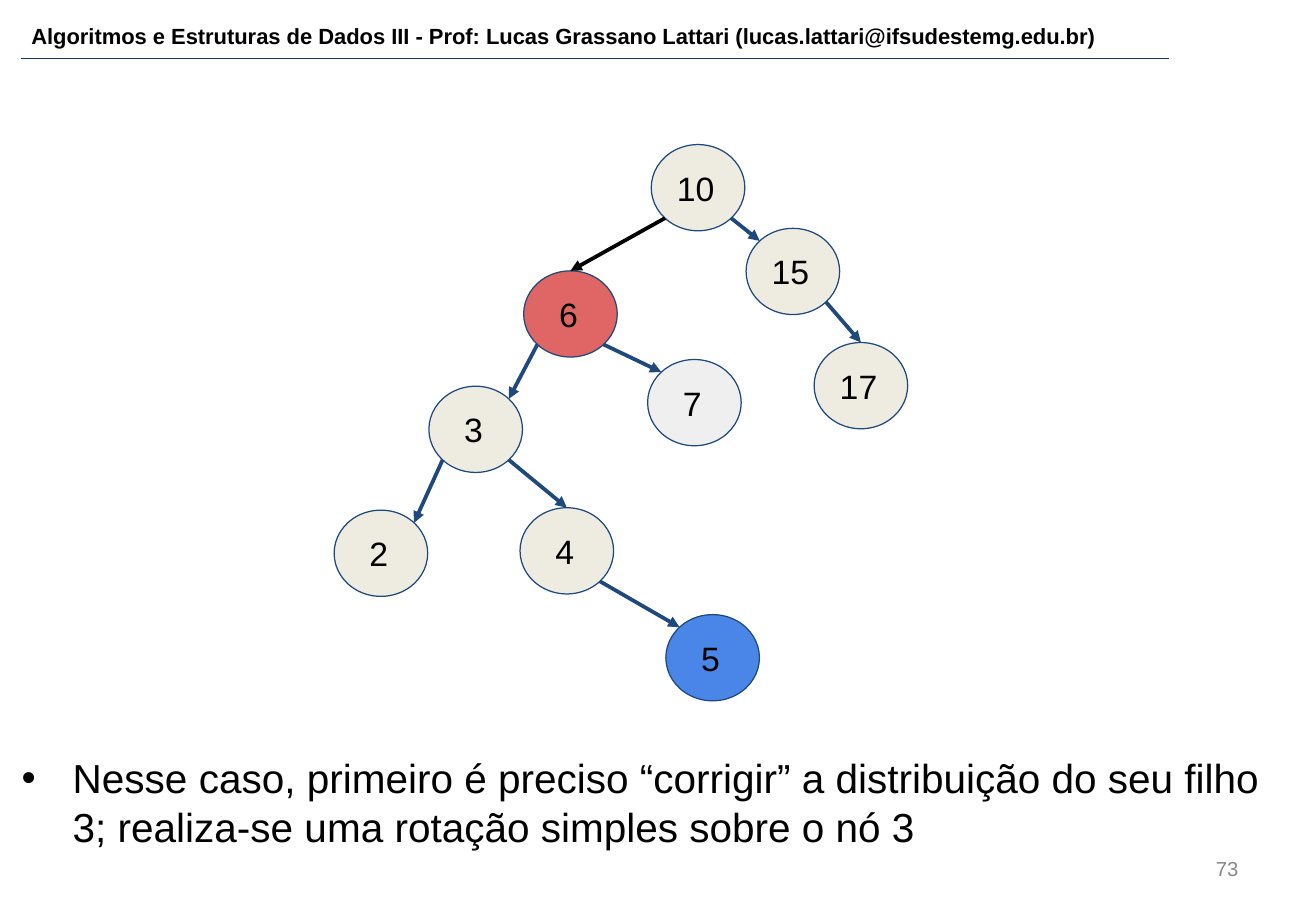
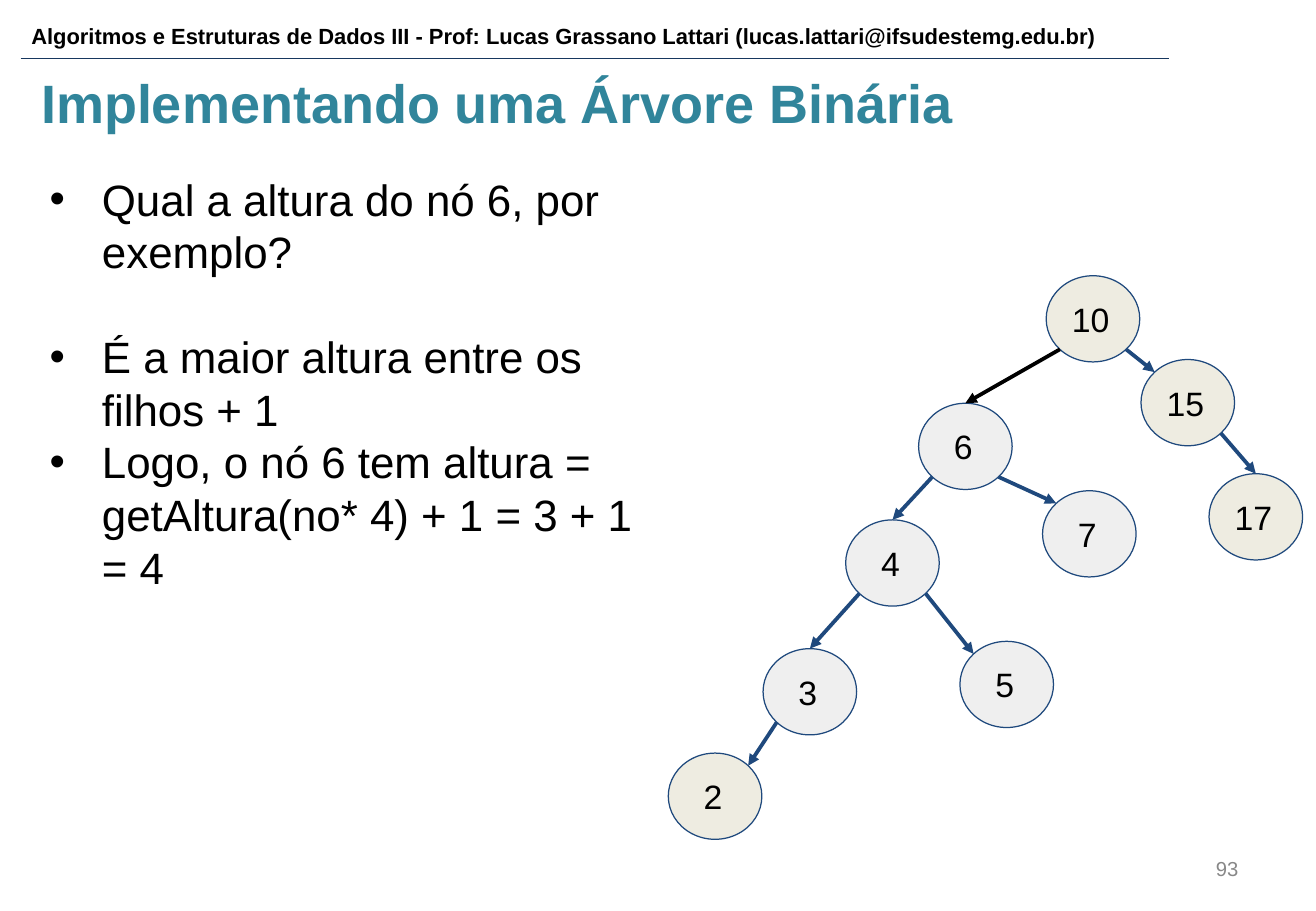
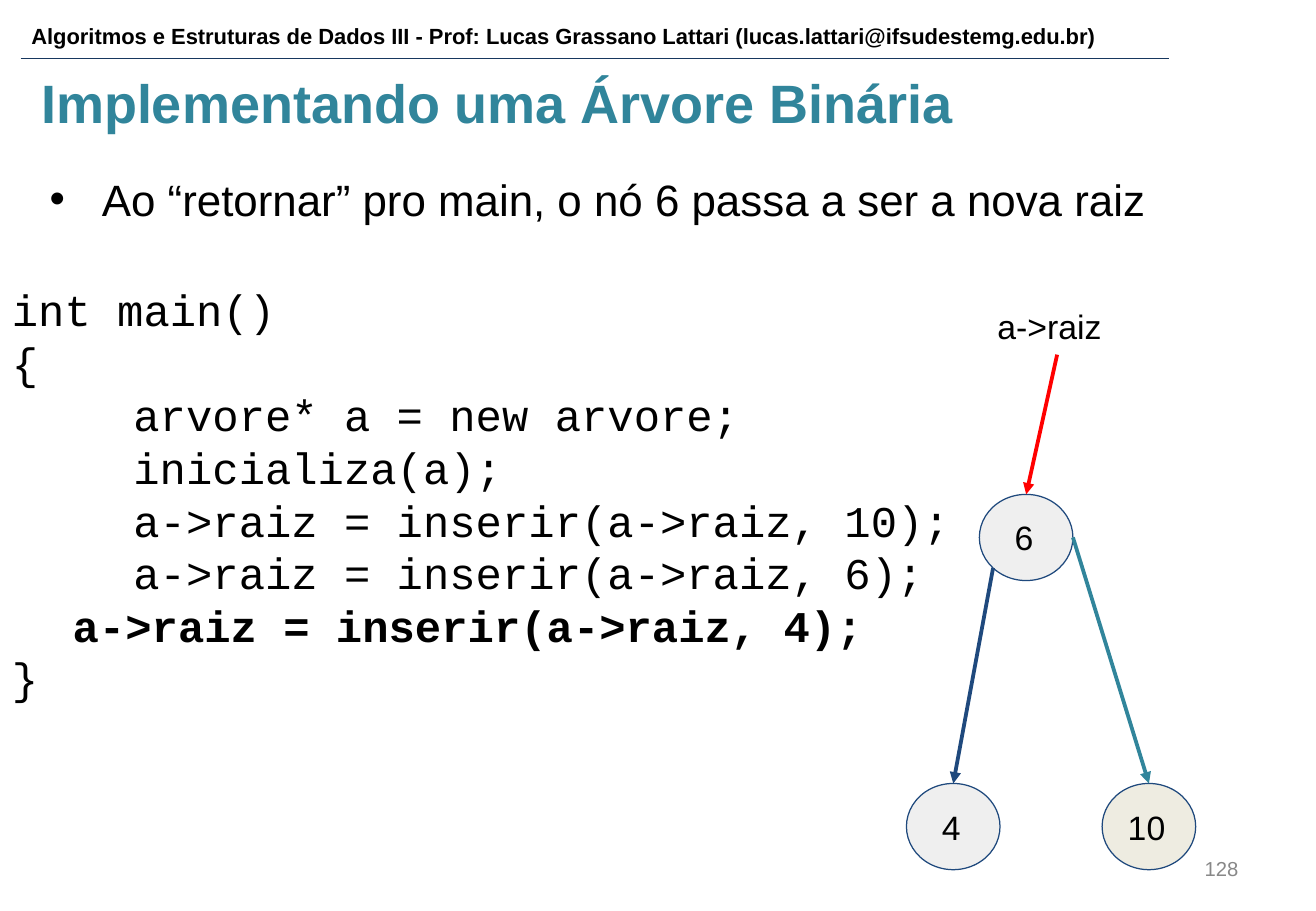
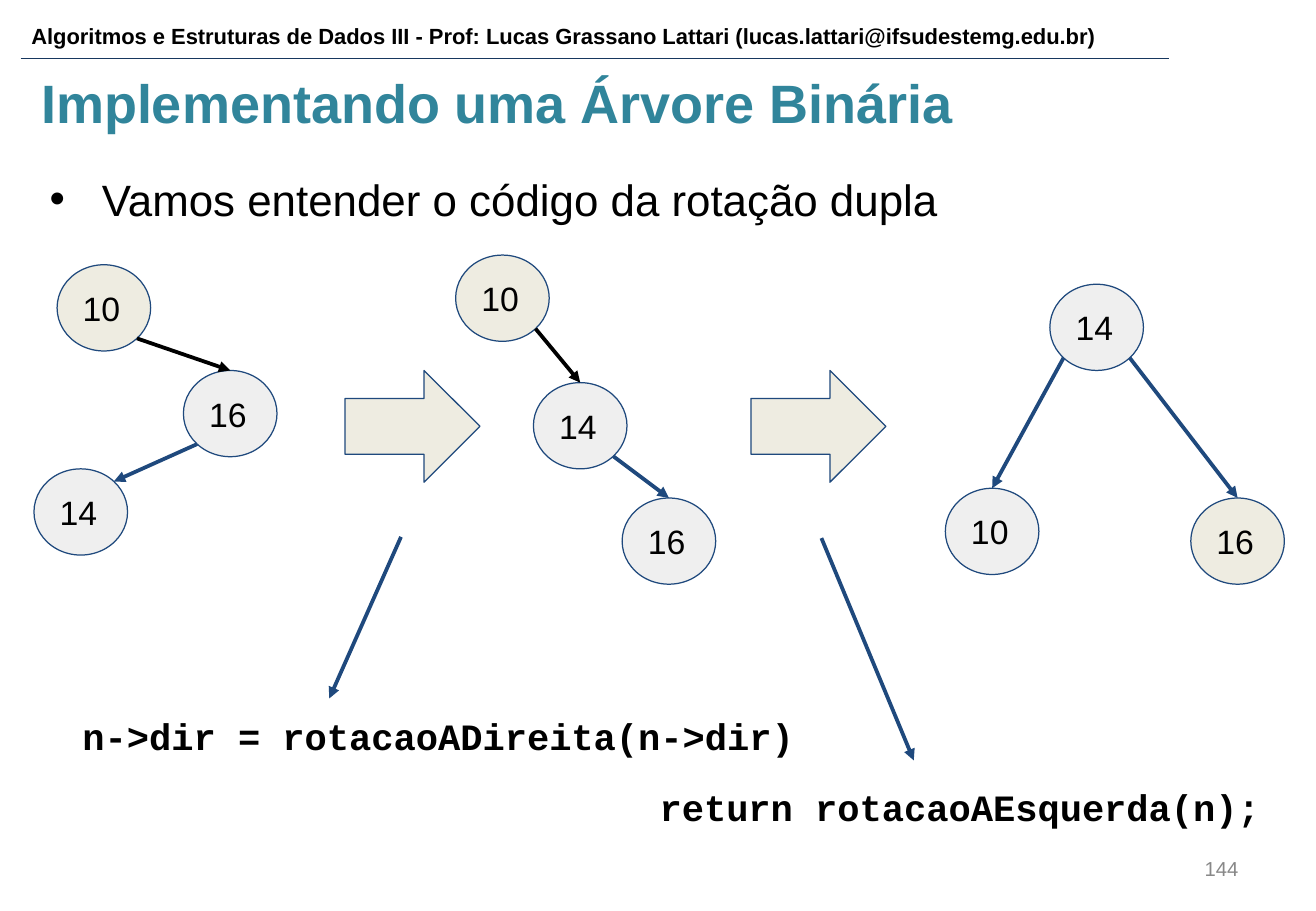
from math import sqrt

from lxml import etree
from pptx import Presentation
from pptx.dml.color import RGBColor
from pptx.enum.shapes import MSO_CONNECTOR, MSO_SHAPE
from pptx.enum.text import MSO_ANCHOR, PP_ALIGN
from pptx.oxml.ns import qn
from pptx.util import Inches, Pt

STRAIGHT = MSO_CONNECTOR.STRAIGHT
ELLIPSE, RIGHT_ARROW = MSO_SHAPE.OVAL, MSO_SHAPE.RIGHT_ARROW
TOP, MIDDLE = MSO_ANCHOR.TOP, MSO_ANCHOR.MIDDLE
LEFT, RIGHT = PP_ALIGN.LEFT, PP_ALIGN.RIGHT

BLACK = RGBColor(0x00, 0x00, 0x00)
GRAY = RGBColor(0x88, 0x88, 0x88)
NAVY = RGBColor(0x1F, 0x49, 0x7D)
RULE = RGBColor(0x17, 0x37, 0x5E)
TEAL = RGBColor(0x31, 0x85, 0x9B)
CREAM = RGBColor(0xEE, 0xEC, 0xE1)
SILVER = RGBColor(0xEF, 0xEF, 0xEF)
CORAL = RGBColor(0xE0, 0x66, 0x66)
BLUE = RGBColor(0x4A, 0x86, 0xE8)
RED = RGBColor(0xFF, 0x00, 0x00)

SANS, MONO = "Arial", "Courier New"
HEADER = ("Algoritmos e Estruturas de Dados III - Prof: Lucas Grassano Lattari "
          "(lucas.lattari@ifsudestemg.edu.br)")
TITLE = "Implementando uma Árvore Binária"

# Tree nodes: size, and the points where edges meet the ellipse
NODE_WIDTH, NODE_HEIGHT = 0.77, 0.71
DIGIT_INDENT = 0.08
DIAGONAL = sqrt(0.5)
SITES = {
    "top": (0, -1), "right": (1, 0),
    "top left": (-DIAGONAL, -DIAGONAL), "top right": (DIAGONAL, -DIAGONAL),
    "bottom left": (-DIAGONAL, DIAGONAL), "bottom right": (DIAGONAL, DIAGONAL),
}


# Text
def set_font(paragraph, size, color=BLACK, name=SANS, bold=False):
    font = paragraph.font
    font.name, font.size, font.bold = name, Pt(size), bold
    font.color.rgb = color


def set_indent(paragraph, left, first_line=0):
    properties = paragraph._p.get_or_add_pPr()
    properties.set("marL", str(Inches(left)))
    properties.set("indent", str(Inches(first_line)))
    return properties


def add_bullet(paragraph, hanging):
    properties = set_indent(paragraph, 0.5, -hanging)
    color = etree.SubElement(properties, qn("a:buClr"))
    etree.SubElement(color, qn("a:srgbClr"), val=str(BLACK))
    etree.SubElement(properties, qn("a:buFont"), typeface=SANS)
    etree.SubElement(properties, qn("a:buChar"), char="•")


def add_text_frame(slide, box, anchor=TOP, inset=0.05):
    frame = slide.shapes.add_textbox(*map(Inches, box)).text_frame
    frame.word_wrap = True
    frame.vertical_anchor = anchor
    frame.margin_left = frame.margin_right = Inches(0.1)
    frame.margin_top = frame.margin_bottom = Inches(inset)
    return frame


def add_paragraphs(frame, texts):
    for index, text in enumerate(texts):
        paragraph = frame.add_paragraph() if index else frame.paragraphs[0]
        paragraph.text = text
        yield paragraph


def add_label(slide, text, box, size, anchor=TOP, inset=0.05, align=LEFT, **font):
    paragraph = add_text_frame(slide, box, anchor, inset).paragraphs[0]
    paragraph.text = text
    paragraph.alignment = align
    set_font(paragraph, size, **font)


def add_bullets(slide, texts, box, size=26, hanging=0.43, anchor=TOP, gaps=()):
    """Bulleted list; gaps maps a paragraph index to its space before."""
    frame = add_text_frame(slide, box, anchor)
    gaps = dict(gaps)
    for index, paragraph in enumerate(add_paragraphs(frame, texts)):
        if index in gaps:
            paragraph.space_before = Pt(gaps[index])
        add_bullet(paragraph, hanging)
        set_font(paragraph, size)


def add_code(slide, lines, box):
    """Code listing; each line is (text, indent, bold)."""
    frame = add_text_frame(slide, box, MIDDLE, 0.1)
    paragraphs = add_paragraphs(frame, [text for text, _, _ in lines])
    for paragraph, (_, indent, bold) in zip(paragraphs, lines):
        set_indent(paragraph, indent)
        set_font(paragraph, 26, name=MONO, bold=bold)


# Lines and shapes
def add_line(slide, start, end, color=NAVY, width=2.25, arrow=True):
    points = map(Inches, (*start, *end))
    connector = slide.shapes.add_connector(STRAIGHT, *points)
    connector.line.color.rgb = color
    connector.line.width = Pt(width)
    if arrow:
        outline = connector.line._get_or_add_ln()
        etree.SubElement(outline, qn("a:tailEnd"), type="triangle")
    etree.SubElement(connector._element.spPr, qn("a:effectLst"))


def add_shape(slide, kind, box, fill):
    shape = slide.shapes.add_shape(kind, *map(Inches, box))
    shape.shadow.inherit = False
    shape.fill.solid()
    shape.fill.fore_color.rgb = fill
    shape.line.color.rgb = NAVY
    shape.line.width = Pt(0.75)
    return shape


def add_node(slide, value, left, top, fill):
    shape = add_shape(slide, ELLIPSE, (left, top, NODE_WIDTH, NODE_HEIGHT), fill)
    frame = shape.text_frame
    frame.vertical_anchor = MIDDLE
    frame.margin_left = frame.margin_right = Inches(0.1)
    frame.margin_top = frame.margin_bottom = Inches(0.1)
    paragraph = frame.paragraphs[0]
    paragraph.text = str(value)
    paragraph.alignment = LEFT
    if value < 10:
        set_indent(paragraph, DIGIT_INDENT)
    set_font(paragraph, 20)


def site_point(node, site):
    left, top, _ = node
    across, down = SITES[site]
    return (left + NODE_WIDTH / 2 * (1 + across), top + NODE_HEIGHT / 2 * (1 + down))


def add_tree(slide, nodes, edges):
    """nodes: value -> (left, top, fill); edges: (parent, site, child, site, color)."""
    for value, node in nodes.items():
        add_node(slide, value, *node)
    for parent, start, child, end, color in edges:
        add_line(slide, site_point(nodes[parent], start),
                 site_point(nodes[child], end), color)


# Shared parts of every slide
def new_slide(presentation, number, title=None):
    slide = presentation.slides.add_slide(presentation.slide_layouts[6])
    add_label(slide, HEADER, (0.16, 0.14, 9.63, 0.3), 13, bold=True)
    add_line(slide, (0.17, 0.48), (9.62, 0.48), RULE, 0.75, arrow=False)
    if title:
        add_label(slide, title, (0.24, 0.52, 10.43, 0.69), 32, color=TEAL, bold=True)
    add_label(slide, str(number), (7.76, 6.95, 2.53, 0.4), 12, MIDDLE,
              align=RIGHT, color=GRAY)
    return slide


# Edges that the two large trees have in common
UPPER_EDGES = [
    (10, "bottom left", 6, "top", BLACK),
    (10, "bottom right", 15, "top left", NAVY),
    (15, "bottom right", 17, "top", NAVY),
    (6, "bottom right", 7, "top left", NAVY),
    (3, "bottom left", 2, "top right", NAVY),
]


def build_unbalanced_tree(presentation):
    slide = new_slide(presentation, 73)
    add_bullets(slide, [
        "Nesse caso, primeiro é preciso “corrigir” a distribuição do seu filho 3; "
        "realiza-se uma rotação simples sobre o nó 3",
    ], (0, 6.1, 10.63, 1), 24, 0.42, MIDDLE)
    nodes = {
        10: (5.36, 1.19, CREAM), 15: (6.14, 1.88, CREAM), 17: (6.7, 2.82, CREAM),
        6: (4.31, 2.23, CORAL), 7: (5.33, 2.96, SILVER), 3: (3.53, 3.18, CREAM),
        2: (2.75, 4.2, CREAM), 4: (4.28, 4.18, CREAM), 5: (5.48, 5.06, BLUE),
    }
    add_tree(slide, nodes, UPPER_EDGES + [
        (6, "bottom left", 3, "top right", NAVY),
        (3, "bottom right", 4, "top", NAVY),
        (4, "bottom right", 5, "top left", NAVY),
    ])


def build_node_height(presentation):
    slide = new_slide(presentation, 93, TITLE)
    add_bullets(slide, [
        "Qual a altura do nó 6, por exemplo?",
        "É a maior altura entre os filhos + 1",
        "Logo, o nó 6 tem altura = getAltura(no* 4) + 1 = 3 + 1 = 4",
    ], (0.24, 1.37, 5.19, 5.03), gaps={1: 31})
    nodes = {
        10: (8.61, 2.27, CREAM), 15: (9.39, 2.96, CREAM), 17: (9.95, 3.9, CREAM),
        6: (7.56, 3.32, SILVER), 7: (8.58, 4.04, SILVER), 4: (6.96, 4.28, SILVER),
        3: (6.28, 5.34, SILVER), 5: (7.9, 5.28, SILVER), 2: (5.5, 6.2, CREAM),
    }
    add_tree(slide, nodes, UPPER_EDGES + [
        (6, "bottom left", 4, "top", NAVY),
        (4, "bottom left", 3, "top", NAVY),
        (4, "bottom right", 5, "top left", NAVY),
    ])


def build_new_root(presentation):
    slide = new_slide(presentation, 128, TITLE)
    add_bullets(slide, ["Ao “retornar” pro main, o nó 6 passa a ser a nova raiz"],
                (0.24, 1.37, 10.28, 5.03))
    add_code(slide, [
        ("int main()", 0, False),
        ("{", 0, False),
        ("arvore* a = new arvore;", 1, False),
        ("inicializa(a);", 1, False),
        ("a->raiz = inserir(a->raiz, 10);", 1, False),
        ("a->raiz = inserir(a->raiz, 6);", 1, False),
        ("a->raiz = inserir(a->raiz, 4);", 0.5, True),
        ("}", 0, False),
    ], (0, 2.42, 8.47, 3.28))
    nodes = {10: (9.07, 6.45, CREAM), 6: (8.06, 4.07, SILVER), 4: (7.46, 6.45, SILVER)}
    add_tree(slide, nodes, [
        (6, "bottom left", 4, "top", NAVY),
        (6, "right", 10, "top", TEAL),
    ])
    # Root pointer
    add_label(slide, "a->raiz", (8.11, 2.42, 1.81, 0.76), 20, inset=0.1)
    add_line(slide, (8.7, 2.92), site_point(nodes[6], "top"), RED)


def build_double_rotation(presentation):
    slide = new_slide(presentation, 144, TITLE)
    add_bullets(slide, ["Vamos entender o código da rotação dupla"],
                (0.24, 1.37, 10.06, 5.03))
    # Before, between and after the two rotations
    add_tree(slide, {
        10: (0.47, 2.18, CREAM), 14: (0.28, 3.86, SILVER), 16: (1.51, 3.05, SILVER),
    }, [
        (16, "bottom left", 14, "top right", NAVY),
        (10, "bottom right", 16, "top", BLACK),
    ])
    add_tree(slide, {
        10: (3.75, 2.1, CREAM), 16: (5.12, 4.1, SILVER), 14: (4.39, 3.15, SILVER),
    }, [
        (14, "bottom right", 16, "top", NAVY),
        (10, "bottom right", 14, "top", BLACK),
    ])
    add_tree(slide, {
        16: (9.8, 4.1, CREAM), 10: (7.78, 4.02, SILVER), 14: (8.64, 2.34, SILVER),
    }, [
        (14, "bottom left", 10, "top", NAVY),
        (14, "bottom right", 16, "top", NAVY),
    ])
    # Each rotation: block arrow, pointer and its call
    rotations = [
        (2.84, (3.3, 4.42), (2.71, 5.75),
         "n->dir = rotacaoADireita(n->dir)", (0.58, 5.76, 6.44, 0.6)),
        (6.18, (6.76, 4.43), (7.52, 6.26),
         "return rotacaoAEsquerda(n);", (5.33, 6.34, 5.4, 0.6)),
    ]
    for left, start, end, call, box in rotations:
        add_shape(slide, RIGHT_ARROW, (left, 3.05, 1.11, 0.92), CREAM)
        add_line(slide, start, end)
        add_label(slide, call, box, 22, MIDDLE, 0.1, name=MONO, bold=True)


def main():
    presentation = Presentation()
    presentation.slide_width = Inches(10.83)
    presentation.slide_height = Inches(7.5)
    build_unbalanced_tree(presentation)
    build_node_height(presentation)
    build_new_root(presentation)
    build_double_rotation(presentation)
    presentation.save("out.pptx")


if __name__ == "__main__":
    main()
